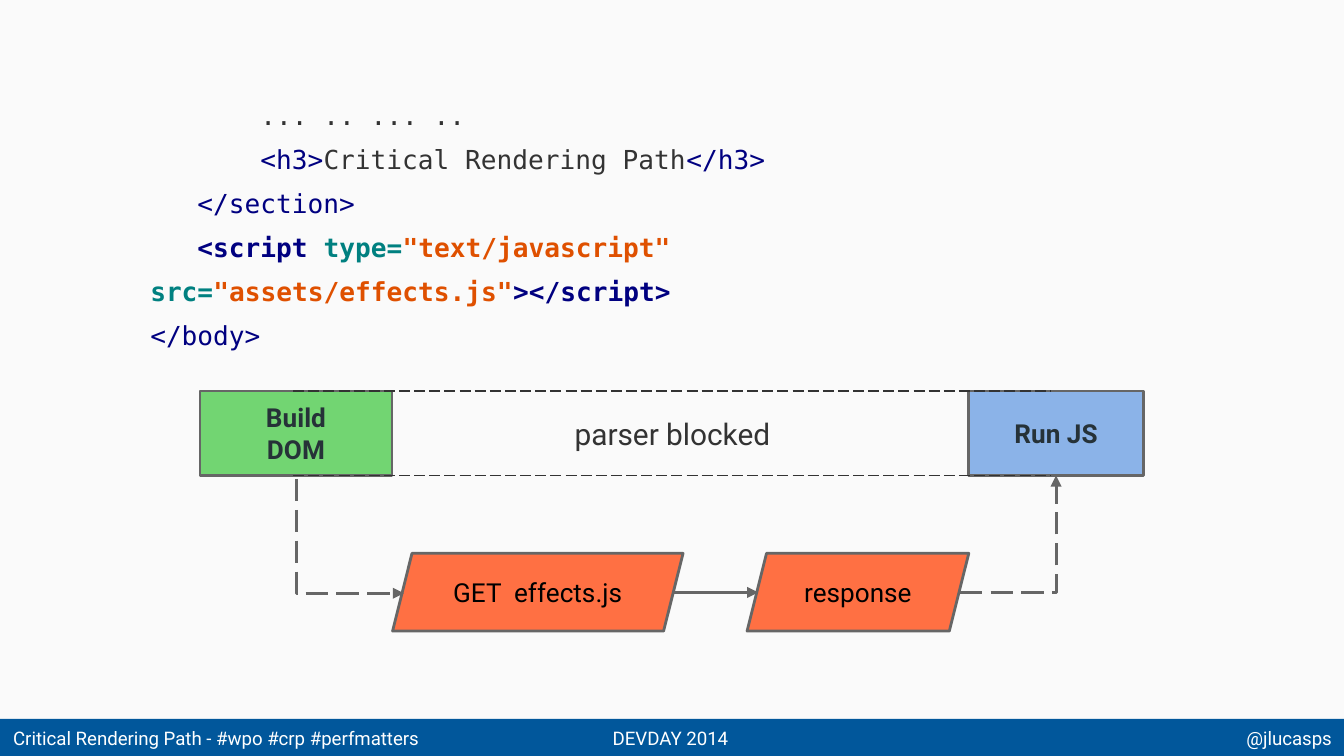
"""Build the slide on a script tag that blocks the HTML parser."""
from lxml.etree import SubElement
from pptx import Presentation
from pptx.dml.color import RGBColor
from pptx.enum.dml import MSO_LINE
from pptx.enum.shapes import MSO_CONNECTOR as Wire, MSO_SHAPE as Shape
from pptx.enum.text import MSO_ANCHOR, MSO_AUTO_SIZE, PP_ALIGN as Align
from pptx.oxml.ns import qn
from pptx.util import Cm, Pt

COLORS = {
    "paper": "FAFAFA", "footer": "01579B", "white": "FFFFFF", "black": "000000",
    "text": "333333", "tag": "000080", "attribute": "008080", "string": "DF5000",
    "green": "72D572", "orange": "FF7043", "blue": "8BB3E8",
    "outline": "666666", "label": "263238",
}


def color(name):
    return RGBColor.from_string(COLORS[name])


def write(holder, text, size, ink, align=Align.CENTER, bold=False):
    frame = holder.text_frame
    frame.text = text
    frame.word_wrap = True
    frame.vertical_anchor = MSO_ANCHOR.MIDDLE
    frame.margin_left = frame.margin_right = Cm(0.25)
    frame.margin_top = frame.margin_bottom = Cm(0.25)
    for paragraph in frame.paragraphs:
        paragraph.alignment = align
        paragraph.font.name = "Roboto"
        paragraph.font.size = Pt(size)
        paragraph.font.bold = bold
        paragraph.font.color.rgb = color(ink)


deck = Presentation()
deck.slide_width, deck.slide_height = Cm(25.4), Cm(14.29)
slide = deck.slides.add_slide(deck.slide_layouts[1])
slide.background.fill.solid()
slide.background.fill.fore_color.rgb = color("paper")
shapes = slide.shapes
shapes.title.element.getparent().remove(shapes.title.element)

FOOTER_TOP, FOOTER_HEIGHT = Cm(13.59), Cm(0.71)
footer = shapes.add_shape(Shape.RECTANGLE, 0, FOOTER_TOP, Cm(25.43), FOOTER_HEIGHT)
footer.shadow.inherit = False
footer.fill.solid()
footer.fill.fore_color.rgb = color("footer")
footer.line.fill.background()
for left, width, text, align in [
    (0, 8.76, "Critical Rendering Path - #wpo #crp #perfmatters", Align.LEFT),
    (11.33, 2.79, "DEVDAY 2014", Align.LEFT),
    (22.63, 2.79, "@jlucasps", Align.RIGHT),
]:
    note = shapes.add_textbox(Cm(left), FOOTER_TOP, Cm(width), FOOTER_HEIGHT)
    write(note, text, 10, "white", align)

CODE_LINES = [
    (7, False, [("... .. ... ..", "text")]),
    (7, False, [("<h3>", "tag"), ("Critical Rendering Path", "text"), ("</h3>", "tag")]),
    (3, False, [("</section>", "tag")]),
    (3, True, [("<script ", "tag"), ("type=", "attribute"),
               ('"text/javascript" ', "string"), ("src=", "attribute"),
               ('"assets/effects.js"', "string"), ("></script>", "tag")]),
    (0, False, [("</body>", "tag")]),
]
CHARACTER = Pt(14 * 0.602)
code = shapes.placeholders[1]
code.left, code.top, code.width, code.height = Cm(2.59), Cm(1.88), Cm(20.22), Cm(4.52)
frame = code.text_frame
frame.auto_size = MSO_AUTO_SIZE.NONE
frame.word_wrap = True
frame.vertical_anchor = MSO_ANCHOR.MIDDLE
frame.margin_left = frame.margin_right = frame.margin_top = frame.margin_bottom = Cm(0.25)
for number, (indent, bold, tokens) in enumerate(CODE_LINES):
    line = frame.add_paragraph() if number else frame.paragraphs[0]
    line.line_spacing = 1.4
    line.space_before = Pt(0)
    properties = line._p.get_or_add_pPr()
    properties.set("marL", "0")
    properties.set("indent", str(indent * CHARACTER))
    SubElement(properties, qn("a:buNone"))
    line.font.name = "DejaVu Sans Mono"
    line.font.size = Pt(14)
    line.font.bold = bold
    for text, ink in tokens:
        token = line.add_run()
        token.text = text
        token.font.color.rgb = color(ink)

PARSER_TOP, PARSER_HEIGHT = 7.39, 1.6
PARSER_BOTTOM = PARSER_TOP + PARSER_HEIGHT
NETWORK_TOP, NETWORK_HEIGHT = 10.46, 1.47
NETWORK_MIDDLE = 11.2
for kind, left, top, width, height, fill, text, ink, bold in [
    (Shape.RECTANGLE, 3.78, PARSER_TOP, 3.63, PARSER_HEIGHT, "green", "Build\nDOM", "label", True),
    (Shape.PARALLELOGRAM, 7.42, NETWORK_TOP, 5.49, NETWORK_HEIGHT, "orange",
     "GET  effects.js", "black", False),
    (Shape.PARALLELOGRAM, 14.12, NETWORK_TOP, 4.19, NETWORK_HEIGHT, "orange",
     "response", "black", False),
    (Shape.RECTANGLE, 18.31, PARSER_TOP, 3.3, PARSER_HEIGHT, "blue", "Run JS", "label", True),
]:
    step = shapes.add_shape(kind, Cm(left), Cm(top), Cm(width), Cm(height))
    step.shadow.inherit = False
    step.fill.solid()
    step.fill.fore_color.rgb = color(fill)
    step.line.color.rgb = color("outline")
    step.line.width = Pt(1.5)
    write(step, text, 14, ink, bold=bold)

for kind, x1, y1, x2, y2, ink, weight, dashed, arrow, turn in [
    (Wire.ELBOW, 7.7, 9.12, 5.54, 11.15, "outline", 1.5, True, True, 270),
    (Wire.STRAIGHT, 12.73, NETWORK_MIDDLE, 14.33, NETWORK_MIDDLE, "outline", 1.5, False, True, 0),
    (Wire.ELBOW, 18.14, NETWORK_MIDDLE, 19.96, PARSER_BOTTOM, "outline", 1.5, True, True, 0),
    (Wire.STRAIGHT, 5.54, PARSER_TOP, 19.86, PARSER_TOP, "text", 0.75, True, False, 0),
    (Wire.STRAIGHT, 5.54, PARSER_BOTTOM, 19.86, PARSER_BOTTOM, "text", 0.75, True, False, 0),
]:
    link = shapes.add_connector(kind, Cm(x1), Cm(y1), Cm(x2), Cm(y2))
    link.line.color.rgb = color(ink)
    link.line.width = Pt(weight)
    if dashed:
        link.line.dash_style = MSO_LINE.LONG_DASH
    geometry = link._element.spPr
    if kind == Wire.ELBOW:
        geometry.find(qn("a:prstGeom")).set("prst", "bentConnector2")
    if turn:
        geometry.find(qn("a:xfrm")).set("rot", str(turn * 60000))
    if arrow:
        SubElement(geometry.find(qn("a:ln")), qn("a:tailEnd"), type="triangle")
    SubElement(geometry, qn("a:effectLst"))

blocked = shapes.add_textbox(Cm(10.41), Cm(PARSER_TOP), Cm(4.6), Cm(PARSER_HEIGHT))
write(blocked, "parser blocked", 16, "text")

deck.save("out.pptx")
